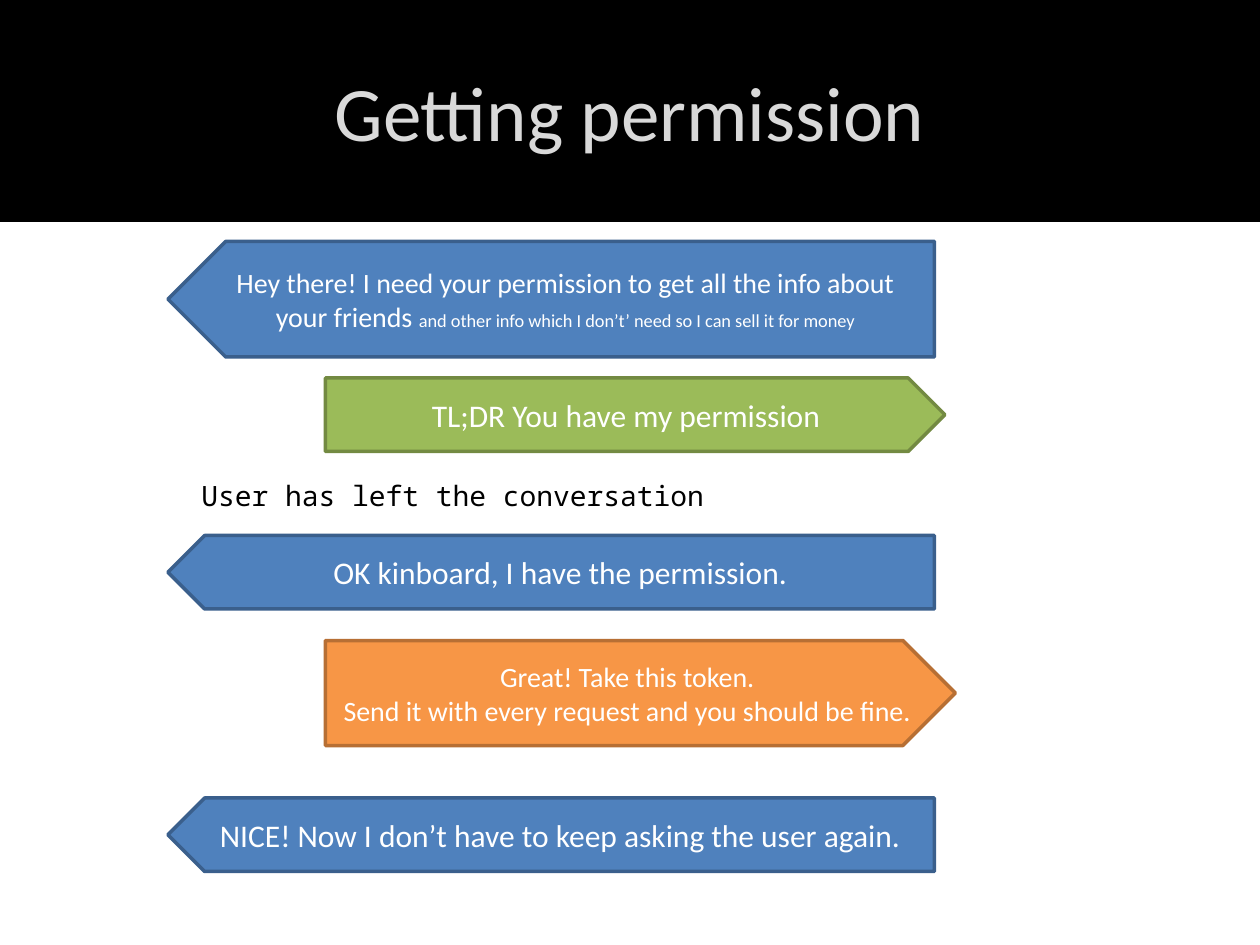
from dataclasses import dataclass
from typing import NamedTuple

from pptx import Presentation
from pptx.dml.color import RGBColor
from pptx.enum.shapes import MSO_SHAPE
from pptx.enum.text import MSO_ANCHOR, MSO_AUTO_SIZE, PP_ALIGN
from pptx.shapes.autoshape import Shape
from pptx.slide import Slide
from pptx.util import Pt

RECT = MSO_SHAPE.RECTANGLE
PLATE = MSO_SHAPE.PENTAGON
MIDDLE = MSO_ANCHOR.MIDDLE
CENTER = PP_ALIGN.CENTER
LEFT = PP_ALIGN.LEFT
GROW = MSO_AUTO_SIZE.SHAPE_TO_FIT_TEXT


class Paint(NamedTuple):
    fill: str
    line: str


@dataclass(frozen=True)
class Theme:
    font: str = "Calibri"
    mono: str = "Noto Sans Mono"
    head: float = 44
    large: float = 18
    body: float = 16
    small: float = 10.5
    edge: float = 2
    white: str = "FFFFFF"
    black: str = "000000"
    gray: str = "D9D9D9"
    band: Paint = Paint("000000", "000000")
    blue: Paint = Paint("4F81BD", "3A5F8C")
    green: Paint = Paint("9BBB59", "738A42")
    orange: Paint = Paint("F79646", "B76F34")


THEME = Theme()


class Box(NamedTuple):
    left: float
    top: float
    width: float
    height: float


class Span(NamedTuple):
    text: str
    size: float
    color: str = THEME.white
    font: str = THEME.font


@dataclass(frozen=True)
class Bubble:
    top: float
    height: float
    lines: list[list[Span]]
    paint: Paint = THEME.blue
    left: float = 96
    width: float = 438
    flip: bool = True


def write(shape: Shape, lines: list[list[Span]], align: PP_ALIGN) -> None:
    frame = shape.text_frame
    frame.word_wrap = True
    para = frame.paragraphs[0]
    para.alignment = align
    for row, spans in enumerate(lines):
        if row:
            para.add_line_break()
        for span in spans:
            run = para.add_run()
            run.text = span.text
            run.font.name = span.font
            run.font.size = Pt(span.size)
            run.font.color.rgb = RGBColor.from_string(span.color)


def block(slide: Slide, kind: MSO_SHAPE, box: Box, paint: Paint,
          lines: list[list[Span]]) -> Shape:
    shape = slide.shapes.add_shape(kind, *map(Pt, box))
    shape.shadow.inherit = False
    shape.fill.solid()
    shape.fill.fore_color.rgb = RGBColor.from_string(paint.fill)
    shape.line.color.rgb = RGBColor.from_string(paint.line)
    shape.line.width = Pt(THEME.edge)
    shape.text_frame.vertical_anchor = MIDDLE
    write(shape, lines, CENTER)
    return shape


def speak(slide: Slide, item: Bubble) -> None:
    box = Box(item.left, item.top, item.width, item.height)
    shape = block(slide, PLATE, box, item.paint, item.lines)
    if item.flip:
        shape.element.spPr.get_or_add_xfrm().set("flipH", "1")


def note(slide: Slide, box: Box, span: Span) -> None:
    shape = slide.shapes.add_textbox(*map(Pt, box))
    write(shape, [[span]], LEFT)
    shape.text_frame.auto_size = GROW


BUBBLES = [
    Bubble(138, 66, [[
        Span("Hey there! I need your permission to get all the info about "
             "your friends ", THEME.body),
        Span("and other info which I don’t’ need so I can sell it for money",
             THEME.small),
    ]]),
    Bubble(216, 42, [[Span("TL;DR You have my permission", THEME.large)]],
           THEME.green, 186, 354, False),
    Bubble(306, 42, [[Span("OK kinboard, I have the permission.", THEME.large)]]),
    Bubble(366, 60, [
        [Span("Great! Take this token.", THEME.body)],
        [Span("Send it with every request and you should be fine.", THEME.body)],
    ], THEME.orange, 186, 360, False),
    Bubble(456, 42, [[
        Span("NICE! Now I don’t have to keep asking the user again.", THEME.large),
    ]]),
]


def main() -> None:
    deck = Presentation()
    deck.slide_width, deck.slide_height = Pt(720), Pt(540)
    slide = deck.slides.add_slide(deck.slide_layouts[6])
    title = Span("Getting permission", THEME.head, THEME.gray)
    block(slide, RECT, Box(0, 0, 720, 126), THEME.band, [[title]])
    for item in BUBBLES:
        speak(slide, item)
    note(slide, Box(108, 270, 366, 27),
         Span("User has left the conversation", THEME.body, THEME.black, THEME.mono))
    deck.save("out.pptx")


if __name__ == "__main__":
    main()
